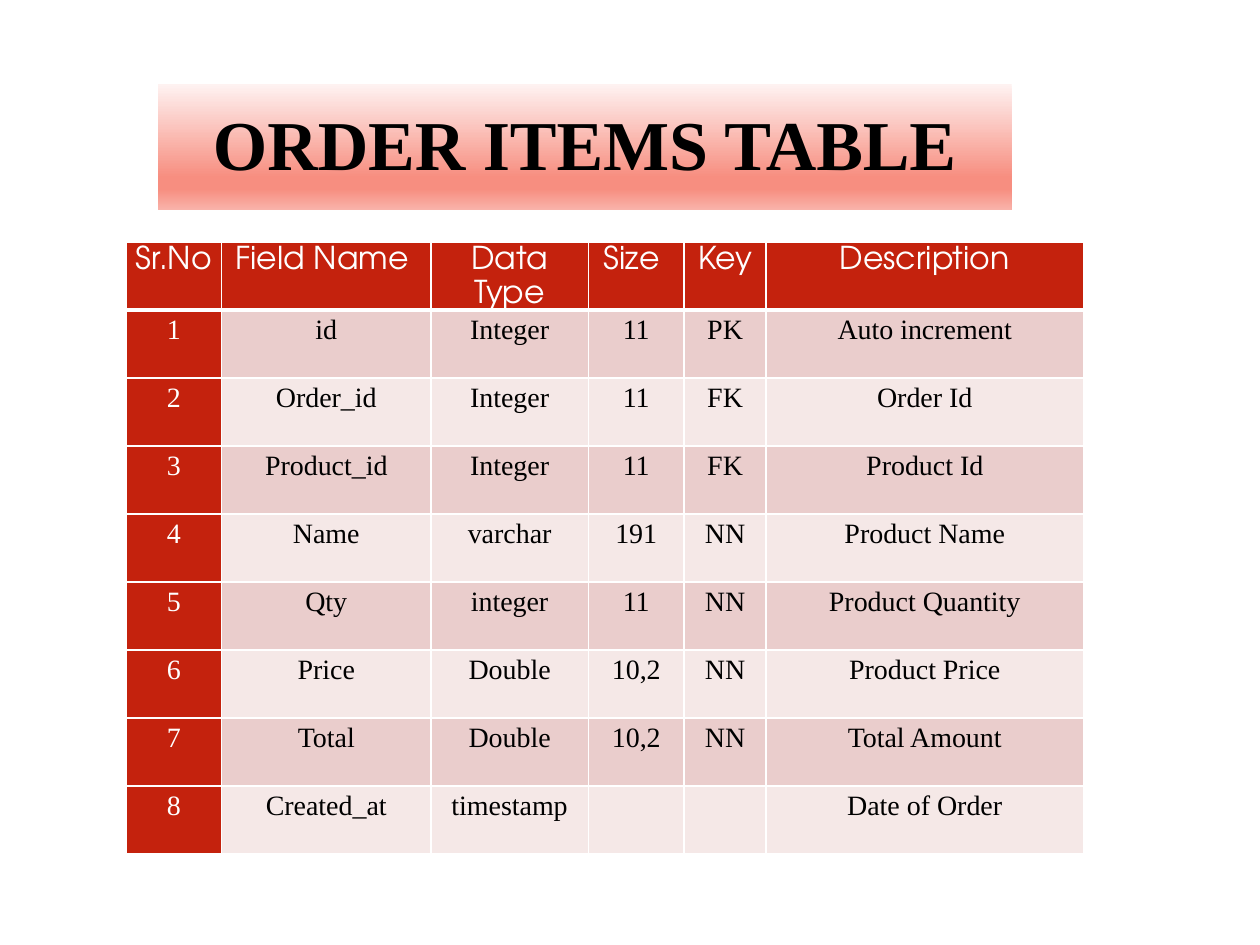
"""Build the order items table slide."""
from dataclasses import dataclass

from lxml.etree import SubElement
from pptx import Presentation
from pptx.dml.color import RGBColor as RGB
from pptx.enum.shapes import MSO_SHAPE as Shape
from pptx.enum.text import MSO_ANCHOR as Anchor, PP_ALIGN as Align
from pptx.oxml.ns import qn
from pptx.util import Inches, Pt


@dataclass(frozen=True)
class Theme:
    serif: str = "Times New Roman"
    sans: str = "TeX Gyre Adventor"
    title_size: int = 40
    head_size: int = 18
    body_size: int = 16
    ink: str = "000000"
    white: str = "FFFFFF"
    accent: str = "C4220D"
    bands: tuple = ("EACDCC", "F5E8E7")
    title_stops: tuple = ((0, "FEF2F1"), (74, "F78E80"), (83, "F78E80"), (100, "F9B3AA"))
    rule: int = 1
    head_rule: int = 3


@dataclass(frozen=True)
class TextStyle:
    font: str
    size: int
    color: str
    spacing: float
    bold: bool = False


@dataclass(frozen=True)
class Field:
    name: str
    data_type: str
    size: str
    key: str
    description: str

    def texts(self, number: int) -> tuple:
        return str(number), self.name, self.data_type, self.size, self.key, self.description


THEME = Theme()
TITLE = TextStyle(THEME.serif, THEME.title_size, THEME.ink, 0.9, True)
HEAD = TextStyle(THEME.sans, THEME.head_size, THEME.white, 1.15)
NUMBER = TextStyle(THEME.serif, THEME.body_size, THEME.white, 1.15)
BODY = TextStyle(THEME.serif, THEME.body_size, THEME.ink, 1.15)

HEADINGS = ("Sr.No", "Field Name ", "Data Type", "Size ", "Key", "Description")
COLUMN_WIDTHS = (0.76, 1.66, 1.25, 0.76, 0.65, 2.52)
ROW_HEIGHT = 0.54
FIELDS = (
    Field("id", "Integer", "11", "PK", "Auto increment"),
    Field("Order_id", "Integer", "11", "FK", "Order Id"),
    Field("Product_id", "Integer", "11", "FK", "Product Id"),
    Field("Name", "varchar", "191", "NN", "Product Name"),
    Field("Qty", "integer", "11", "NN", "Product Quantity"),
    Field("Price", "Double", "10,2", "NN", "Product Price"),
    Field("Total", "Double", "10,2", "NN", "Total Amount"),
    Field("Created_at", "timestamp", "", "", "Date of Order"),
)


def write(tf, text: str, style: TextStyle) -> None:
    p = tf.paragraphs[0]
    p.alignment = Align.CENTER
    p.line_spacing = style.spacing
    if not text:
        p.font.size = Pt(style.size)
        return
    r = p.add_run()
    r.text = text
    r.font.name = style.font
    r.font.size = Pt(style.size)
    r.font.bold = style.bold
    r.font.color.rgb = RGB.from_string(style.color)


def add_title(s, text: str) -> None:
    sp = s.shapes.add_shape(Shape.RECTANGLE, Inches(1.25), Inches(0.67), Inches(6.78), Inches(1))
    sp.shadow.inherit = False
    sp.line.fill.background()
    sp.fill.gradient()
    sp.fill.gradient_angle = 270
    stops = sp._element.spPr.find(".//" + qn("a:gsLst"))
    stops.clear()
    for percent, color in THEME.title_stops:
        stop = SubElement(stops, qn("a:gs"), pos=str(percent * 1000))
        SubElement(stop, qn("a:srgbClr"), val=color)
    sp.text_frame.word_wrap = True
    sp.text_frame.vertical_anchor = Anchor.MIDDLE
    write(sp.text_frame, text, TITLE)


def add_borders(cell, bottom: int) -> None:
    tc_pr = cell._tc.get_or_add_tcPr()
    for side in "LRTB":
        width = bottom if side == "B" else THEME.rule
        ln = SubElement(tc_pr, qn(f"a:ln{side}"), w=str(Pt(width)))
        fill = SubElement(ln, qn("a:solidFill"))
        SubElement(fill, qn("a:srgbClr"), val=THEME.white)


def fill_cell(cell, text: str, style: TextStyle, color: str, bottom: int) -> None:
    cell.margin_left = cell.margin_right = Inches(0.06)
    cell.margin_top = cell.margin_bottom = Inches(0)
    add_borders(cell, bottom)
    cell.fill.solid()
    cell.fill.fore_color.rgb = RGB.from_string(color)
    write(cell.text_frame, text, style)


def add_field_table(s) -> None:
    rows = [HEADINGS] + [field.texts(n) for n, field in enumerate(FIELDS, 1)]
    table = s.shapes.add_table(
        len(rows), len(HEADINGS), Inches(1), Inches(1.92),
        Inches(sum(COLUMN_WIDTHS)), Inches(ROW_HEIGHT * len(rows)),
    ).table
    for column, width in zip(table.columns, COLUMN_WIDTHS):
        column.width = Inches(width)
    for i, texts in enumerate(rows):
        table.rows[i].height = Inches(ROW_HEIGHT)
        for j, text in enumerate(texts):
            if i == 0:
                look = HEAD, THEME.accent, THEME.head_rule
            elif j == 0:
                look = NUMBER, THEME.accent, THEME.rule
            else:
                look = BODY, THEME.bands[(i - 1) % 2], THEME.rule
            fill_cell(table.cell(i, j), text, *look)


def main() -> None:
    prs = Presentation()
    prs.slide_width, prs.slide_height = Inches(10), Inches(7.5)
    s = prs.slides.add_slide(prs.slide_layouts[6])
    add_title(s, "ORDER ITEMS TABLE")
    add_field_table(s)
    prs.save("out.pptx")


if __name__ == "__main__":
    main()
